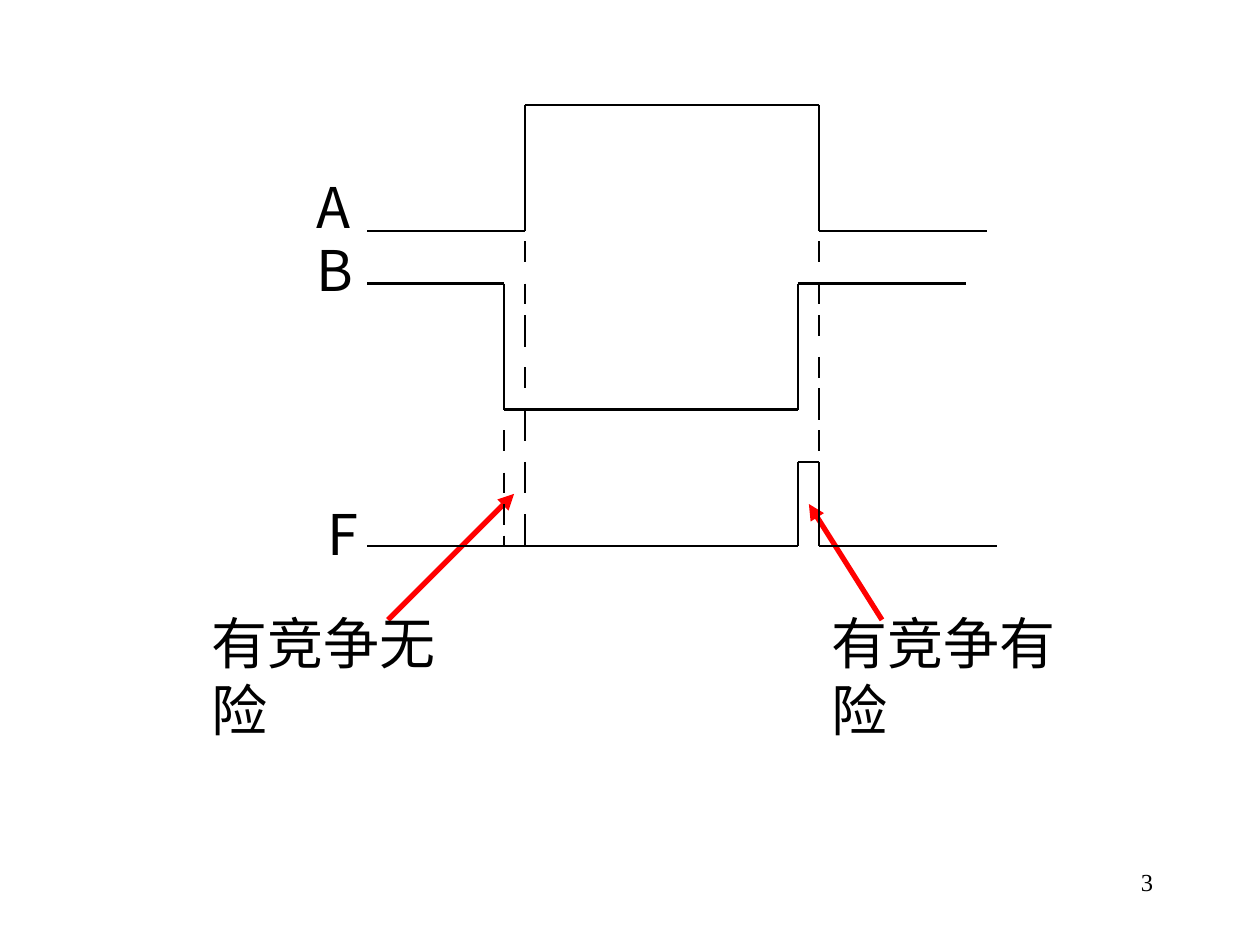
from pptx import Presentation
from pptx.dml.color import RGBColor
from pptx.enum.shapes import MSO_CONNECTOR
from pptx.enum.text import MSO_ANCHOR, MSO_AUTO_SIZE, PP_ALIGN
from pptx.oxml.ns import qn
from pptx.util import Inches, Pt
from lxml.etree import SubElement

BLACK = RGBColor(0, 0, 0)
RED = RGBColor(255, 0, 0)
SANS = "Noto Sans CJK SC"
SERIF = "Times New Roman"
STEP = 1 / 12

WAVES = [
    [(0, 12), (15, 12), (15, 0), (43, 0), (43, 12), (59, 12)],
    [(0, 17), (13, 17), (13, 29), (41, 29), (41, 17), (57, 17)],
    [(0, 42), (15, 42), (41, 42), (41, 34), (43, 34), (43, 42), (60, 42)],
]
DASHES = {
    13: [(30, 30), (31, 33), (35, 37), (38, 40), (41, 42)],
    15: [(13, 15), (17, 19), (20, 23), (25, 27), (29, 32), (34, 37), (39, 42)],
    40: [(17, 17)],
    41: [(35, 38), (40, 42)],
    43: [(13, 15), (17, 19), (20, 22), (24, 26), (27, 30), (31, 33)],
}
LABELS = [("A", -0.5, 0.49), ("B", -0.5, 0.99), ("F", -0.42, 3.08)]


def add_text(slide, text, left, top, width, height, size=32, font=SANS,
             align=PP_ALIGN.LEFT, wrap=False):
    box = slide.shapes.add_textbox(
        Inches(left), Inches(top), Inches(width), Inches(height))
    frame = box.text_frame
    frame.word_wrap = wrap
    frame.vertical_anchor = MSO_ANCHOR.TOP
    if not wrap:
        frame.auto_size = MSO_AUTO_SIZE.SHAPE_TO_FIT_TEXT
    para = frame.paragraphs[0]
    para.alignment = align
    run = para.add_run()
    run.text = text
    run.font.size = Pt(size)
    run.font.name = font
    run.font.color.rgb = BLACK
    SubElement(run.font._element, qn("a:ea")).set("typeface", font)


def add_line(slide, start, end, color=BLACK, width=1.5, arrow=False):
    line = slide.shapes.add_connector(
        MSO_CONNECTOR.STRAIGHT, *(Inches(v) for v in (*start, *end)))
    line.line.color.rgb = color
    line.line.width = Pt(width)
    props = line._element.spPr
    if arrow:
        SubElement(props.find(qn("a:ln")), qn("a:tailEnd")).set("type", "triangle")
    SubElement(props, qn("a:effectLst"))


def add_note(slide, text, left, top, start, end):
    (x1, y1), (x2, y2) = start, end
    add_line(slide, (left + x1, top + y1), (left + x2, top + y2),
             color=RED, width=3, arrow=True)
    add_text(slide, text, left, top, 2.42, 0.63)


def add_chart(slide, left, top):
    def place(point):
        return left + point[0] * STEP, top + point[1] * STEP

    for wave in WAVES:
        for start, end in zip(wave, wave[1:]):
            add_line(slide, place(start), place(end))
    for col, spans in DASHES.items():
        for high, low in spans:
            add_line(slide, place((col, high)), place((col, low)))
    for name, right, down in LABELS:
        add_text(slide, name, left + right, top + down, 0.42, 0.63)


def main():
    deck = Presentation()
    deck.slide_width = Inches(10)
    deck.slide_height = Inches(7.5)
    slide = deck.slides.add_slide(deck.slide_layouts[6])
    add_text(slide, "3", 7.17, 6.83, 2.08, 0.5, size=14, font=SERIF,
             align=PP_ALIGN.RIGHT, wrap=True)
    add_note(slide, "有竞争无险", 1.58, 4.78, (1.5, 0.14), (2.5, -0.86))
    add_note(slide, "有竞争有险", 6.5, 4.78, (0.5, 0.14), (-0.08, -0.78))
    add_chart(slide, 35 * STEP, 10 * STEP)
    deck.save("out.pptx")


if __name__ == "__main__":
    main()
